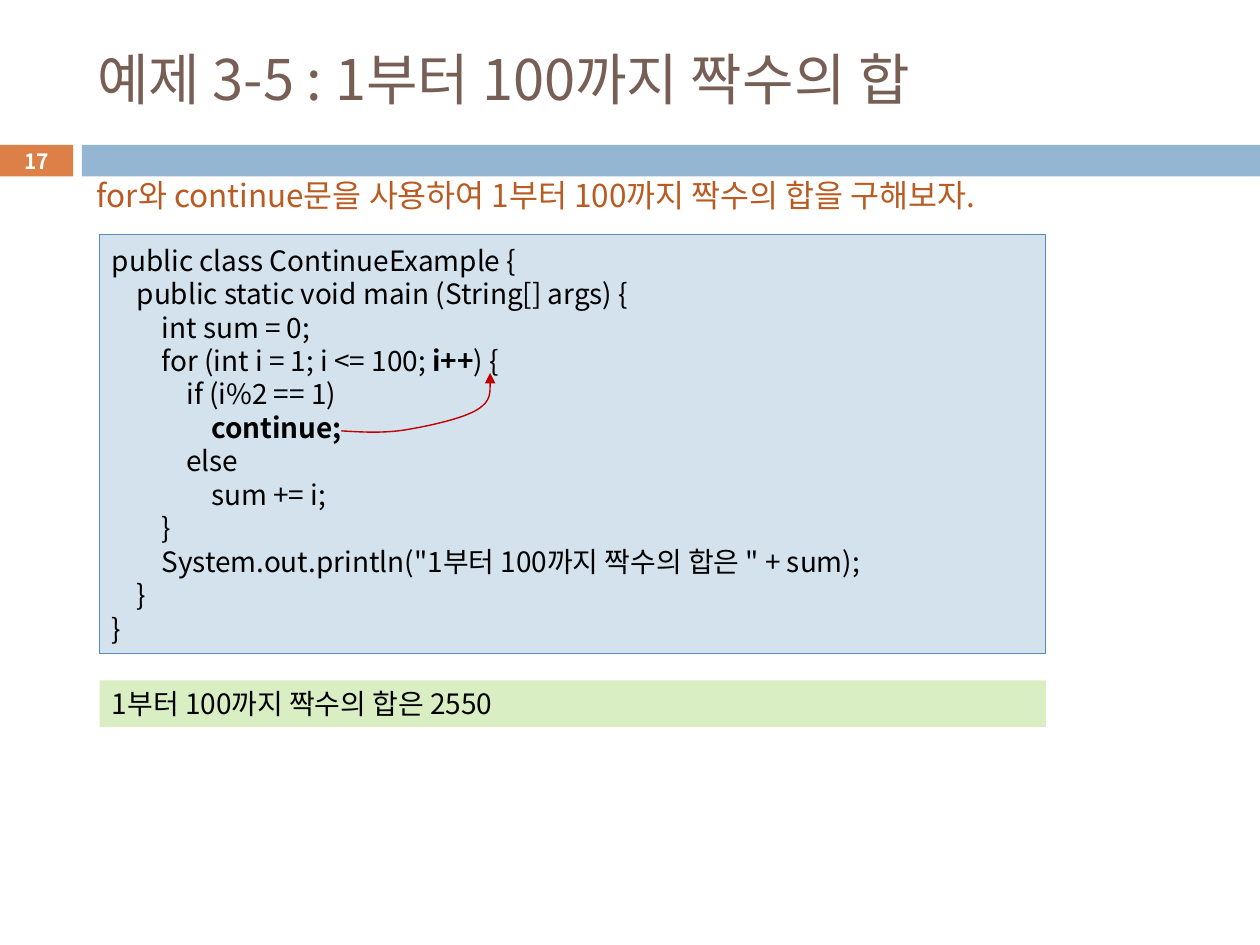
from dataclasses import dataclass

from lxml import etree
from pptx import Presentation
from pptx.dml.color import RGBColor
from pptx.enum.shapes import MSO_SHAPE
from pptx.enum.text import MSO_ANCHOR, PP_ALIGN
from pptx.oxml.ns import qn
from pptx.util import Inches, Pt

RECT = MSO_SHAPE.RECTANGLE
MIDDLE = MSO_ANCHOR.MIDDLE
LEFT, CENTER = PP_ALIGN.LEFT, PP_ALIGN.CENTER
TITLE_ONLY = 5


@dataclass(frozen=True)
class Theme:
    font: str = "Noto Sans CJK KR"
    title: str = "775F55"
    lead: str = "B95B22"
    ink: str = "000000"
    white: str = "FFFFFF"
    badge: str = "DD8047"
    band: str = "94B6D2"
    code_fill: str = "D4E2ED"
    code_line: str = "558BB8"
    output_fill: str = "DAEEC4"
    arrow: str = "C00000"
    title_size: float = 32
    lead_size: float = 18
    code_size: float = 16
    number_size: float = 12
    code_pitch: float = 19.15
    tab: float = 0.197


T = Theme()
W, H = 10, 7.5
MARGIN, BODY_W = 0.79, 7.51

# Each line is its indent level and its (text, bold) runs
CODE = [
    (0, [("public class ContinueExample {", False)]),
    (1, [("public static void main (String[] args) {", False)]),
    (2, [("int sum = 0;", False)]),
    (2, [("for (int i = 1; i <= 100; ", False), ("i++", True), (") {", False)]),
    (3, [("if (i%2 == 1)", False)]),
    (4, [("continue;", True)]),
    (3, [("else", False)]),
    (4, [("sum += i;", False)]),
    (2, [("}", False)]),
    (2, [('System.out.println("1부터 100까지 짝수의 합은 " + sum);', False)]),
    (1, [("}", False)]),
    (0, [("}", False)]),
]


def inches(box):
    return [Inches(v) for v in box]


def style_run(r, size, color, bold=False):
    r.font.size, r.font.bold, r.font.name = Pt(size), bold, T.font
    r.font.color.rgb = RGBColor.from_string(color)
    ea = etree.SubElement(r.font._element, qn("a:ea"))
    ea.set("typeface", T.font)


def set_text(sp, text, size, color, bold=False, align=LEFT):
    tf = sp.text_frame
    tf.word_wrap, tf.vertical_anchor = True, MIDDLE
    tf.text = text
    p = tf.paragraphs[0]
    p.alignment = align
    style_run(p.runs[0], size, color, bold)


def add_rect(s, box, fill, line=None):
    sp = s.shapes.add_shape(RECT, *inches(box))
    sp.shadow.inherit = False
    sp.fill.solid()
    sp.fill.fore_color.rgb = RGBColor.from_string(fill)
    if line:
        sp.line.color.rgb = RGBColor.from_string(line)
        sp.line.width = Pt(0.75)
    else:
        sp.line.fill.background()
    return sp


def add_header(s, box, title, number):
    x, y, w, h = box
    # Numbered badge and band
    badge = add_rect(s, (x, y, 0.058 * w, h), T.badge)
    set_text(badge, number, T.number_size, T.white, True, CENTER)
    add_rect(s, (x + 0.065 * w, y, 0.935 * w, h), T.band)
    # Title above the band
    sp = s.shapes.title
    sp.left, sp.top, sp.width, sp.height = inches((x + 0.067 * w, y - 0.9, 0.892 * w, 0.74))
    set_text(sp, title, T.title_size, T.title)


def add_lead(s, box, text):
    sp = s.shapes.add_textbox(*inches(box))
    set_text(sp, text, T.lead_size, T.lead)


def set_tabs(p, count):
    tabs = etree.SubElement(p._p.get_or_add_pPr(), qn("a:tabLst"))
    for i in range(1, count + 1):
        etree.SubElement(tabs, qn("a:tab"), pos=str(Inches(T.tab * i)), algn="l")


def add_arrow(s, start, curves):
    # Outline through the control points, then every three become one curve
    points = [pt for curve in curves for pt in curve]
    fb = s.shapes.build_freeform(*inches(start), scale=1.0)
    fb.add_line_segments([inches(pt) for pt in points], close=False)
    sp = fb.convert_to_shape()
    sp.shadow.inherit = False
    sp.fill.background()
    sp.line.color.rgb = RGBColor.from_string(T.arrow)
    sp.line.width = Pt(0.79)
    segments = list(sp._element.iter(qn("a:lnTo")))
    for i in range(0, len(segments), 3):
        curve = etree.Element(qn("a:cubicBezTo"))
        segments[i].addprevious(curve)
        for seg in segments[i:i + 3]:
            curve.append(seg[0])
            seg.getparent().remove(seg)
    etree.SubElement(sp.line._get_or_add_ln(), qn("a:tailEnd"), type="triangle")


def add_code(s, box, lines):
    x, y, w, h = box
    sp = add_rect(s, box, T.code_fill, T.code_line)
    tf = sp.text_frame
    tf.word_wrap, tf.vertical_anchor = True, MIDDLE
    for i, (level, runs) in enumerate(lines):
        p = tf.add_paragraph() if i else tf.paragraphs[0]
        p.alignment, p.line_spacing = LEFT, Pt(T.code_pitch)
        set_tabs(p, level)
        for j, (text, bold) in enumerate(runs):
            r = p.add_run()
            r.text = text if j else "\t" * level + text
            style_run(r, T.code_size, T.ink, bold)
    # Jump from continue to the loop's increment
    add_arrow(s, (x + 1.92, y + 1.56), [
        [(x + dx, y + dy) for dx, dy in curve] for curve in (
            [(2.09, 1.57), (2.26, 1.58), (2.44, 1.55)],
            [(2.62, 1.52), (2.89, 1.46), (3.0, 1.39)],
            [(3.11, 1.32), (3.1, 1.21), (3.1, 1.1)],
        )])


def add_output(s, box, text):
    sp = add_rect(s, box, T.output_fill)
    set_text(sp, text, T.code_size, T.ink)


def main():
    prs = Presentation()
    prs.slide_width, prs.slide_height = Inches(W), Inches(H)
    s = prs.slides.add_slide(prs.slide_layouts[TITLE_ONLY])
    add_header(s, (0, 1.15, W, 0.25), "예제 3-5 : 1부터 100까지 짝수의 합", "17")
    add_lead(s, (0.67, 1.35, 8.55, 0.4),
             "for와 continue문을 사용하여 1부터 100까지 짝수의 합을 구해보자.")
    add_code(s, (MARGIN, 1.86, BODY_W, 3.33), CODE)
    add_output(s, (MARGIN, 5.4, BODY_W, 0.37), "1부터 100까지 짝수의 합은 2550")
    prs.save("out.pptx")


if __name__ == "__main__":
    main()
